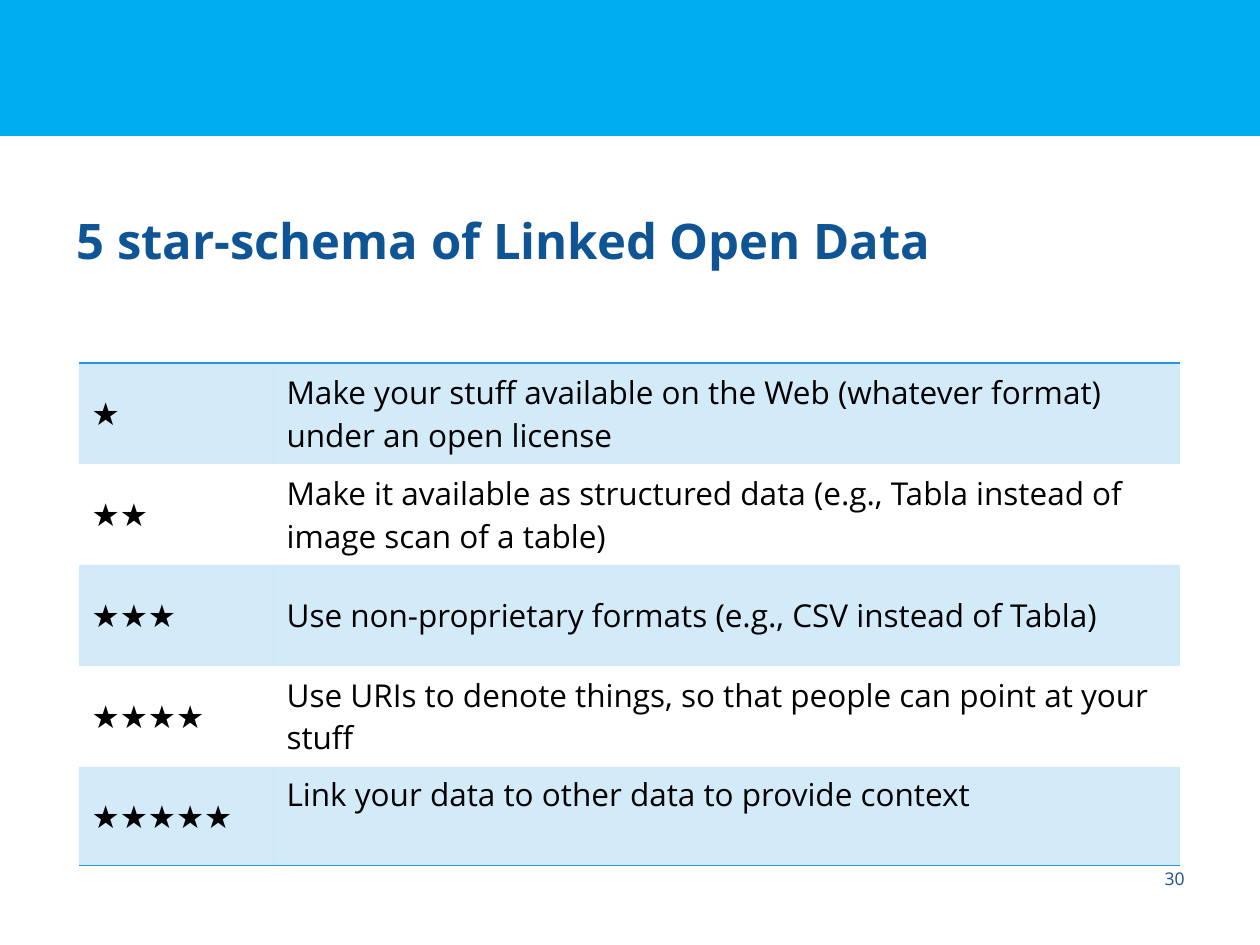
from lxml.etree import SubElement
from pptx import Presentation
from pptx.dml.color import RGBColor
from pptx.enum.shapes import MSO_SHAPE as Shape
from pptx.enum.text import MSO_ANCHOR as Anchor, PP_ALIGN as Align
from pptx.oxml import parse_xml
from pptx.oxml.ns import nsdecls, qn
from pptx.util import Pt

SCALE = 914400 // 126
ACCENT = "2397E2"
NO_STYLE = "{2D5ABB26-0587-4C30-8999-92F81FD0307C}"


def px(*lengths):
    return [length * SCALE for length in lengths]


def style(frame, size, color, bold=False, align=Align.LEFT, anchor=Anchor.MIDDLE):
    frame.word_wrap = True
    frame.vertical_anchor = anchor
    for para in frame.paragraphs:
        para.alignment = align
        for span in para.runs:
            span.font.name = "Open Sans"
            span.font.size = Pt(size)
            span.font.bold = bold
            span.font.color.rgb = RGBColor.from_string(color)


deck = Presentation()
deck.slide_width, deck.slide_height = px(1260, 945)
page = deck.slides.add_slide(deck.slide_layouts[5])

# Header band
band = page.shapes.add_shape(Shape.RECTANGLE, *px(0, 0, 1260, 136))
band.shadow.inherit = False
band.fill.solid()
band.fill.fore_color.rgb = RGBColor.from_string("00AEF0")
band.line.fill.background()

# Title
title = page.shapes.title
title.left, title.top, title.width, title.height = px(64, 175, 1134, 129)
title.text_frame.text = "5 star-schema of Linked Open Data"
style(title.text_frame, 28, "0F5494", bold=True)

# Star table
levels = [
    "Make your stuff available on the Web (whatever format) under an open license",
    "Make it available as structured data (e.g., Tabla instead of image scan of a table)",
    "Use non-proprietary formats (e.g., CSV instead of Tabla)",
    "Use URIs to denote things, so that people can point at your stuff",
    "Link your data to other data to provide context",
]
last = len(levels) - 1
frame = page.shapes.add_table(len(levels), 2, *px(79, 363, 1101, 503))
table = frame.table
table.first_row = table.horz_banding = False
frame._element.find(".//" + qn("a:tableStyleId")).text = NO_STYLE
table.columns[0].width, table.columns[1].width = px(195, 906)

for row, level in enumerate(levels):
    table.rows[row].height = px(99 if row == last else 101)[0]
    for col, text in enumerate(["★" * (row + 1), level]):
        cell = table.cell(row, col)
        cell.text = text
        style(cell.text_frame, 18, "000000")
        top_aligned = row == last and col == 1
        cell.vertical_anchor = Anchor.TOP if top_aligned else Anchor.MIDDLE
        # Tint on every other row
        if row % 2:
            cell.fill.background()
        else:
            cell.fill.solid()
            cell.fill.fore_color.rgb = RGBColor.from_string(ACCENT)
            tint = cell._tc.tcPr.find(".//" + qn("a:srgbClr"))
            SubElement(tint, qn("a:alpha"), val="20000")
        # Rules above the first row and below the last
        if row in (0, last):
            side = "lnB" if row else "lnT"
            cell._tc.tcPr.insert(0, parse_xml(
                f'<a:{side} {nsdecls("a")} w="12700"><a:solidFill>'
                f'<a:srgbClr val="{ACCENT}"/></a:solidFill></a:{side}>'))

# Page number
number = page.shapes.add_textbox(*px(903, 846, 294, 65))
number.text_frame.text = "30"
style(number.text_frame, 10, "1D4D8D", align=Align.RIGHT)

deck.save("out.pptx")
